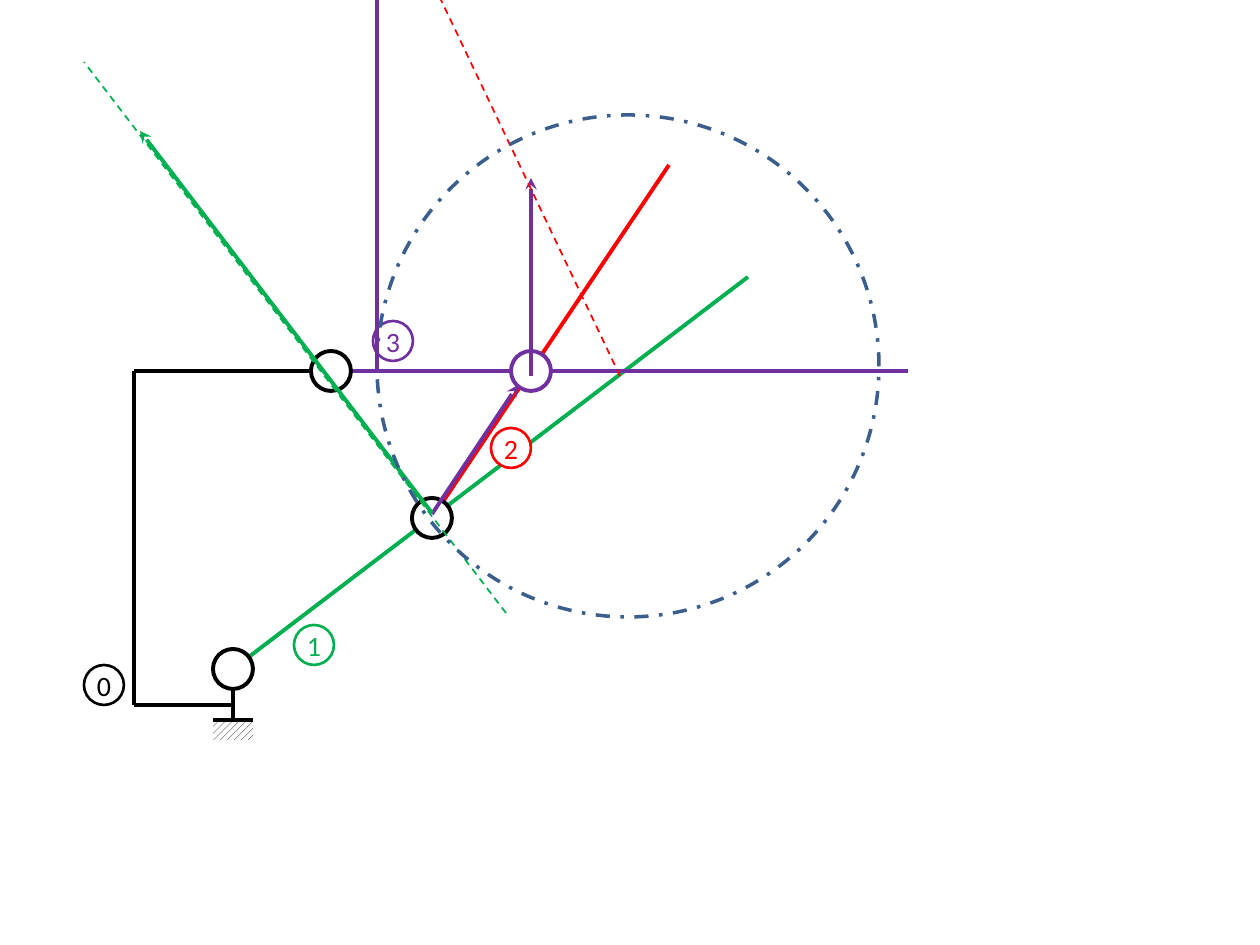
from lxml.etree import SubElement
from pptx import Presentation
from pptx.dml.color import RGBColor
from pptx.enum.dml import MSO_LINE, MSO_PATTERN
from pptx.enum.shapes import MSO_CONNECTOR, MSO_SHAPE
from pptx.enum.text import MSO_ANCHOR, PP_ALIGN
from pptx.oxml.ns import qn
from pptx.util import Pt

SCALE = 914400 / 126  # EMU per px
BLACK, WHITE, BLUE = "000000", "FFFFFF", "3A5F8C"
GREEN, RED, PURPLE = "00B050", "FF0000", "7030A0"
JOINT = 40  # diameter of joints and number labels

# Key points of the mechanism
GROUND_PIN = (233, 669)
CRANK_PIN = (432, 518)
FRAME_PIN = (331, 371)
SLIDER_PIN = (531, 371)

# Parts from back to front: (kind, geometry, colour, further values)
PARTS = [
    # Ground, links and frame
    ("line", ((748, 277), GROUND_PIN), GREEN, {}),
    ("joint", GROUND_PIN, BLACK, {}),
    ("line", ((233, 720), (233, 689)), BLACK, {}),
    ("hatch", (213, 720, 40, 20), BLACK, {}),
    ("line", ((213, 720), (253, 720)), BLACK, {}),
    ("line", (FRAME_PIN, (908, 371)), PURPLE, {}),
    ("line", ((669, 165), CRANK_PIN), RED, {}),
    ("line", ((134, 705), (233, 705)), BLACK, {}),
    ("line", ((134, 371), (134, 705)), BLACK, {}),
    # Link numbers and joints
    ("joint", (104, 685), BLACK, {"number": "0"}),
    ("joint", (393, 341), PURPLE, {"number": "3"}),
    ("joint", (314, 645), GREEN, {"number": "1"}),
    ("joint", SLIDER_PIN, PURPLE, {}),
    ("joint", (511, 448), RED, {"number": "2"}),
    ("joint", FRAME_PIN, BLACK, {}),
    ("line", ((134, 371), (311, 371)), BLACK, {}),
    ("joint", CRANK_PIN, BLACK, {}),
    # Vectors, their directions and the circle
    ("line", ((531, 376), (531, 178)), PURPLE, {"arrow": True}),
    ("line", ((432, 514), (518, 385)), PURPLE, {"arrow": True}),
    ("line", ((506, 613), (84, 62)), GREEN, {"dashed": True}),
    ("line", ((432, 513), (140, 131)), GREEN, {"arrow": True}),
    ("line", ((620, 376), (364, -162)), RED, {"dashed": True}),
    ("circle", (628, 366), BLUE, {"diameter": 502}),
    ("line", ((377, 371), (377, -132)), PURPLE, {"arrow": True}),
]


def px(*values):
    return [round(value * SCALE) for value in values]


def color(code):
    return RGBColor.from_string(code)


def style_line(line, code, width, dash=None):
    line.color.rgb = color(code)
    line.width = Pt(width)
    if dash:
        line.dash_style = dash


def draw_line(page, ends, code, arrow=False, dashed=False):
    start, end = ends
    link = page.shapes.add_connector(MSO_CONNECTOR.STRAIGHT, *px(*start, *end))
    style_line(link.line, code, 1 if dashed else 2.25, MSO_LINE.DASH if dashed else None)
    properties = link._element.spPr
    SubElement(properties, qn("a:effectLst"))
    if arrow:
        SubElement(properties.find(qn("a:ln")), qn("a:tailEnd"), type="stealth")


def draw_shape(page, kind, bounds):
    shape = page.shapes.add_shape(kind, *px(*bounds))
    shape.shadow.inherit = False
    return shape


def draw_round(page, center, diameter):
    left, top = (value - diameter / 2 for value in center)
    return draw_shape(page, MSO_SHAPE.OVAL, (left, top, diameter, diameter))


def draw_joint(page, center, code, number=None):
    joint = draw_round(page, center, JOINT)
    joint.fill.solid()
    joint.fill.fore_color.rgb = color(WHITE)
    style_line(joint.line, code, 1.5 if number else 2.25)
    if number:
        frame = joint.text_frame
        frame_format = {"margin_left": 0, "margin_right": 0, "margin_top": 0,
                        "margin_bottom": 0, "vertical_anchor": MSO_ANCHOR.MIDDLE}
        for name, value in frame_format.items():
            setattr(frame, name, value)
        para = frame.paragraphs[0]
        para.alignment = PP_ALIGN.CENTER
        span = para.add_run()
        span.text = number
        for name, value in {"name": "Calibri", "size": Pt(16)}.items():
            setattr(span.font, name, value)
        span.font.color.rgb = color(code)


def draw_hatch(page, bounds, code):
    hatch = draw_shape(page, MSO_SHAPE.RECTANGLE, bounds)
    hatch.fill.patterned()
    hatch.fill.pattern = MSO_PATTERN.WIDE_UPWARD_DIAGONAL
    hatch.fill.fore_color.rgb = color(code)
    hatch.fill.back_color.rgb = color(WHITE)
    hatch.line.fill.background()


def draw_circle(page, center, code, diameter):
    circle = draw_round(page, center, diameter)
    circle.fill.background()
    style_line(circle.line, code, 2, MSO_LINE.DASH_DOT)


DRAW = {"line": draw_line, "joint": draw_joint, "hatch": draw_hatch, "circle": draw_circle}


def main():
    deck = Presentation()
    deck.slide_width, deck.slide_height = px(1260, 945)
    page = deck.slides.add_slide(deck.slide_layouts[6])  # blank layout
    for kind, geometry, code, values in PARTS:
        DRAW[kind](page, geometry, code, **values)
    deck.save("out.pptx")


if __name__ == "__main__":
    main()
